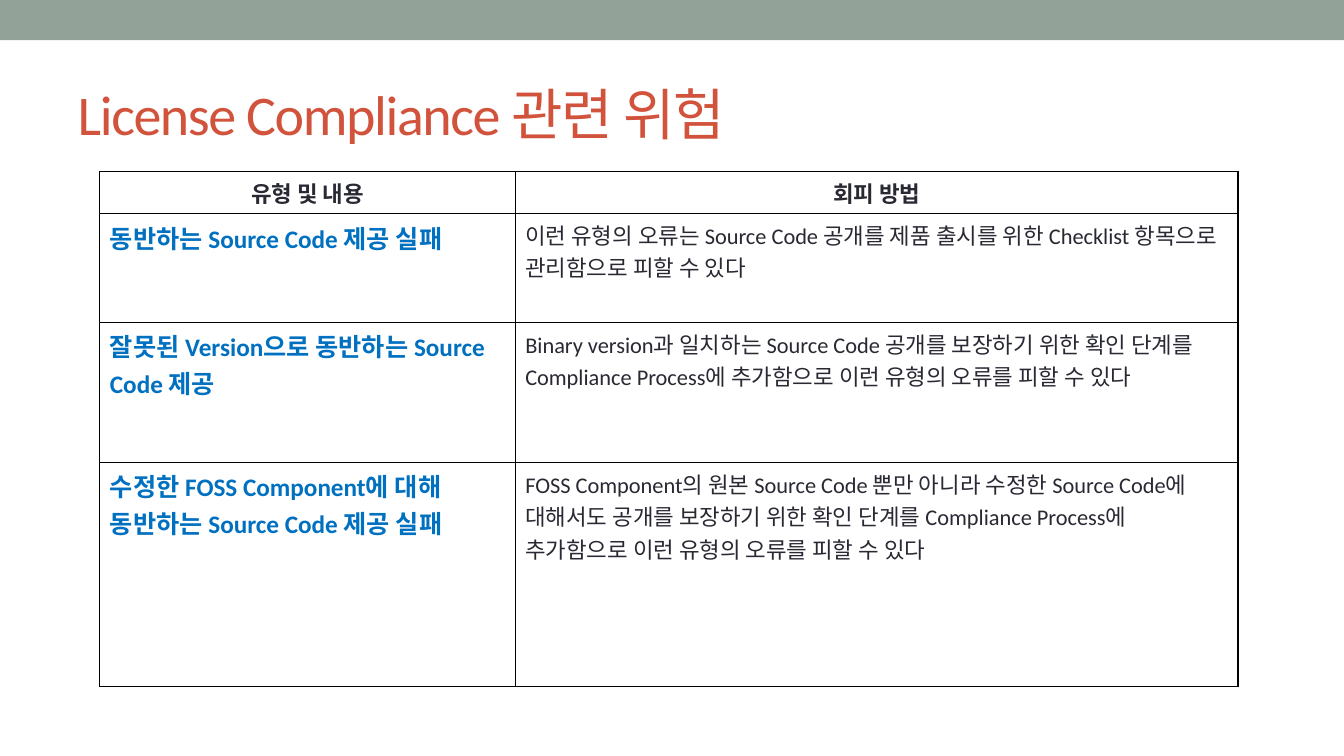
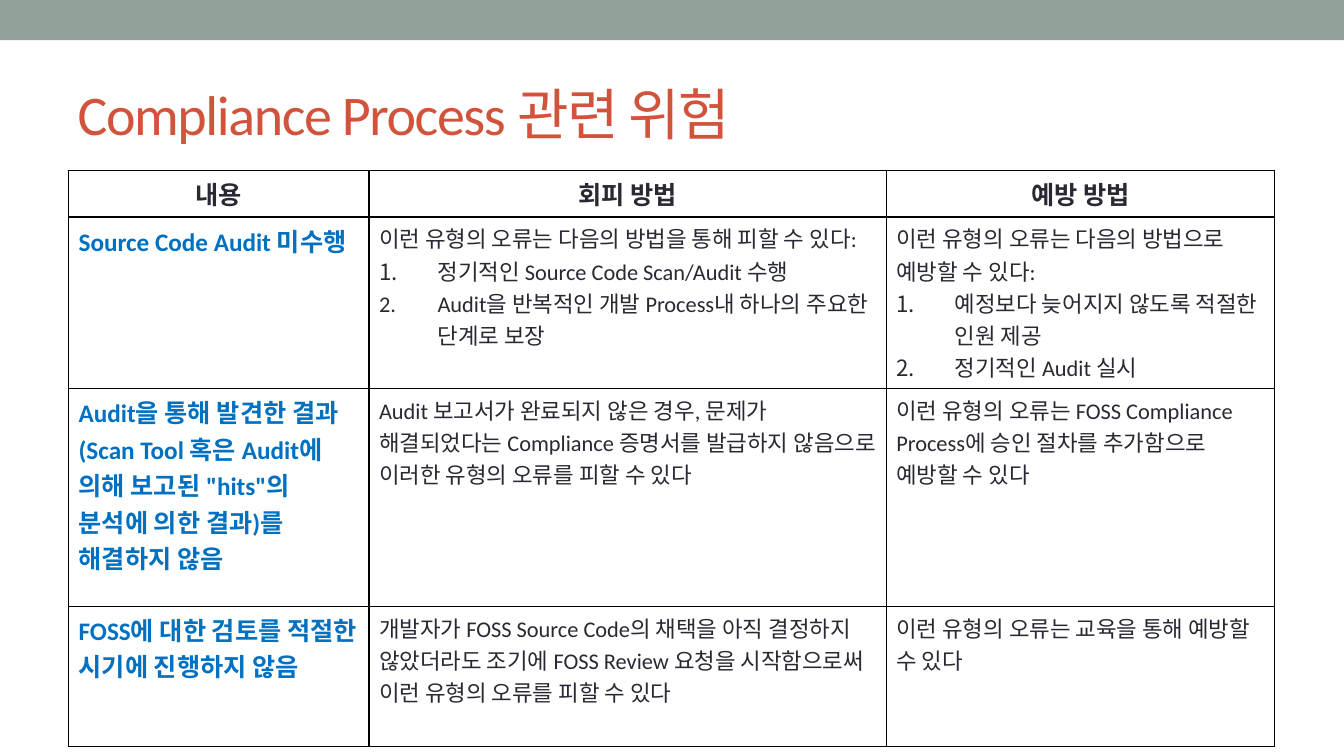
from pptx import Presentation
from pptx.dml.color import RGBColor
from pptx.enum.shapes import MSO_SHAPE
from pptx.enum.text import PP_ALIGN
from pptx.oxml import parse_xml
from pptx.oxml.ns import nsdecls, qn
from pptx.util import Inches, Pt

FONT = "Calibri"
COLORS = {
    "band": "93A299",
    "title": "D2533C",
    "text": "292934",
    "risk": "0070C0",
    "border": "000000",
}
HANG = Inches(0.58)
TITLE_ONLY = 5

LICENSE_RISKS = [
    ["유형 및 내용", "회피 방법"],
    [
        "동반하는 Source Code 제공 실패",
        "이런 유형의 오류는 Source Code 공개를 제품 출시를 위한 Checklist 항목으로 관리함으로 피할 수 있다",
    ],
    [
        "잘못된 Version으로 동반하는 Source Code 제공",
        "Binary version과 일치하는 Source Code 공개를 보장하기 위한 확인 단계를 "
        "Compliance Process에 추가함으로 이런 유형의 오류를 피할 수 있다",
    ],
    [
        "수정한 FOSS Component에 대해 동반하는 Source Code 제공 실패",
        "FOSS Component의 원본 Source Code 뿐만 아니라 수정한 Source Code에 대해서도 공개를 "
        "보장하기 위한 확인 단계를 Compliance Process에 추가함으로 이런 유형의 오류를 피할 수 있다",
    ],
]

PROCESS_RISKS = [
    ["내용", "회피 방법", "예방 방법"],
    [
        "Source Code Audit 미수행",
        [
            "이런 유형의 오류는 다음의 방법을 통해 피할 수 있다:",
            "정기적인 Source Code Scan/Audit 수행",
            "Audit을 반복적인 개발 Process내 하나의 주요한 단계로 보장",
        ],
        [
            "이런 유형의 오류는 다음의 방법으로 예방할 수 있다:",
            "예정보다 늦어지지 않도록 적절한 인원 제공",
            "정기적인 Audit 실시",
        ],
    ],
    [
        "Audit을 통해 발견한 결과(Scan Tool 혹은 Audit에 의해 보고된 \"hits\"의 "
        "분석에 의한 결과)를 해결하지 않음",
        "Audit 보고서가 완료되지 않은 경우, 문제가 해결되었다는 Compliance 증명서를 "
        "발급하지 않음으로 이러한 유형의 오류를 피할 수 있다",
        "이런 유형의 오류는 FOSS Compliance Process에 승인 절차를 추가함으로 예방할 수 있다",
    ],
    [
        "FOSS에 대한 검토를 적절한 시기에 진행하지 않음",
        "개발자가 FOSS Source Code의 채택을 아직 결정하지 않았더라도 조기에 FOSS Review 요청을 "
        "시작함으로써 이런 유형의 오류를 피할 수 있다",
        "이런 유형의 오류는 교육을 통해 예방할 수 있다",
    ],
]


def style_title(deck):
    level = next(deck.slide_master.element.iter(qn("p:titleStyle"))).find(qn("a:lvl1pPr"))
    level.set("algn", "l")
    level.remove(level.find(qn("a:defRPr")))
    level.append(parse_xml(
        f'<a:defRPr {nsdecls("a")} sz="4000" spc="-100"><a:solidFill>'
        f'<a:srgbClr val="{COLORS["title"]}"/></a:solidFill>'
        f'<a:latin typeface="{FONT}"/></a:defRPr>'))
    title = deck.slide_layouts[TITLE_ONLY].placeholders[0]
    title.left, title.top = Inches(0.67), Inches(0.58)
    title.width, title.height = Inches(12), Inches(1.08)


def add_master_band(deck, page):
    band = page.shapes.add_shape(MSO_SHAPE.RECTANGLE, 0, 0, deck.slide_width, Inches(0.4))
    band.shadow.inherit = False
    band.fill.solid()
    band.fill.fore_color.rgb = RGBColor.from_string(COLORS["band"])
    band.line.fill.background()
    deck.slide_master.shapes.element.insert(2, band.element)


def add_page(deck, title):
    page = deck.slides.add_slide(deck.slide_layouts[TITLE_ONLY])
    page.shapes.title.text = title
    return page


def set_borders(cell):
    properties = cell._tc.get_or_add_tcPr()
    for index, side in enumerate("LRTB"):
        properties.insert(index, parse_xml(
            f'<a:ln{side} {nsdecls("a")} w="12700"><a:solidFill>'
            f'<a:srgbClr val="{COLORS["border"]}"/></a:solidFill></a:ln{side}>'))


def number_paragraph(para):
    properties = para._p.get_or_add_pPr()
    properties.set("marL", str(HANG))
    properties.set("indent", str(-HANG))
    properties.append(parse_xml(f'<a:buAutoNum {nsdecls("a")} type="arabicPeriod"/>'))


def fill_cell(cell, content, size, color, bold, align):
    cell.fill.background()
    set_borders(cell)
    lines = [content] if isinstance(content, str) else content
    cell.text = "\n".join(lines)
    for index, para in enumerate(cell.text_frame.paragraphs):
        if index:
            number_paragraph(para)
        para.alignment = align
        para.font.name = FONT
        para.font.size = Pt(size)
        para.font.bold = bold
        para.font.color.rgb = RGBColor.from_string(COLORS[color])


def add_risk_table(page, left, top, widths, heights, rows, header_size):
    frame = page.shapes.add_table(
        len(rows), len(widths), Inches(left), Inches(top),
        Inches(sum(widths)), Inches(sum(heights)))
    table = frame.table
    table.first_row = table.horz_banding = False
    for column, width in zip(table.columns, widths):
        column.width = Inches(width)
    for row, height in zip(table.rows, heights):
        row.height = Inches(height)
    for row_index, row in enumerate(rows):
        for column_index, content in enumerate(row):
            if row_index == 0:
                style = (header_size, "text", True, PP_ALIGN.CENTER)
            elif column_index == 0:
                style = (18, "risk", True, PP_ALIGN.LEFT)
            else:
                style = (16, "text", False, PP_ALIGN.LEFT)
            fill_cell(table.cell(row_index, column_index), content, *style)


def main():
    deck = Presentation()
    deck.slide_width, deck.slide_height = Inches(13.33), Inches(7.5)
    style_title(deck)

    license_page = add_page(deck, "License Compliance 관련 위험")
    add_master_band(deck, license_page)
    add_risk_table(license_page, 0.99, 1.7, [4.12, 7.17], [0.36, 1.08, 1.39, 2.22],
                   LICENSE_RISKS, 16)

    process_page = add_page(deck, "Compliance Process 관련 위험")
    add_risk_table(process_page, 0.68, 1.69, [2.98, 5.13, 3.85], [0.39, 1.39, 2.16, 1.39],
                   PROCESS_RISKS, 18)

    deck.save("out.pptx")


if __name__ == "__main__":
    main()
